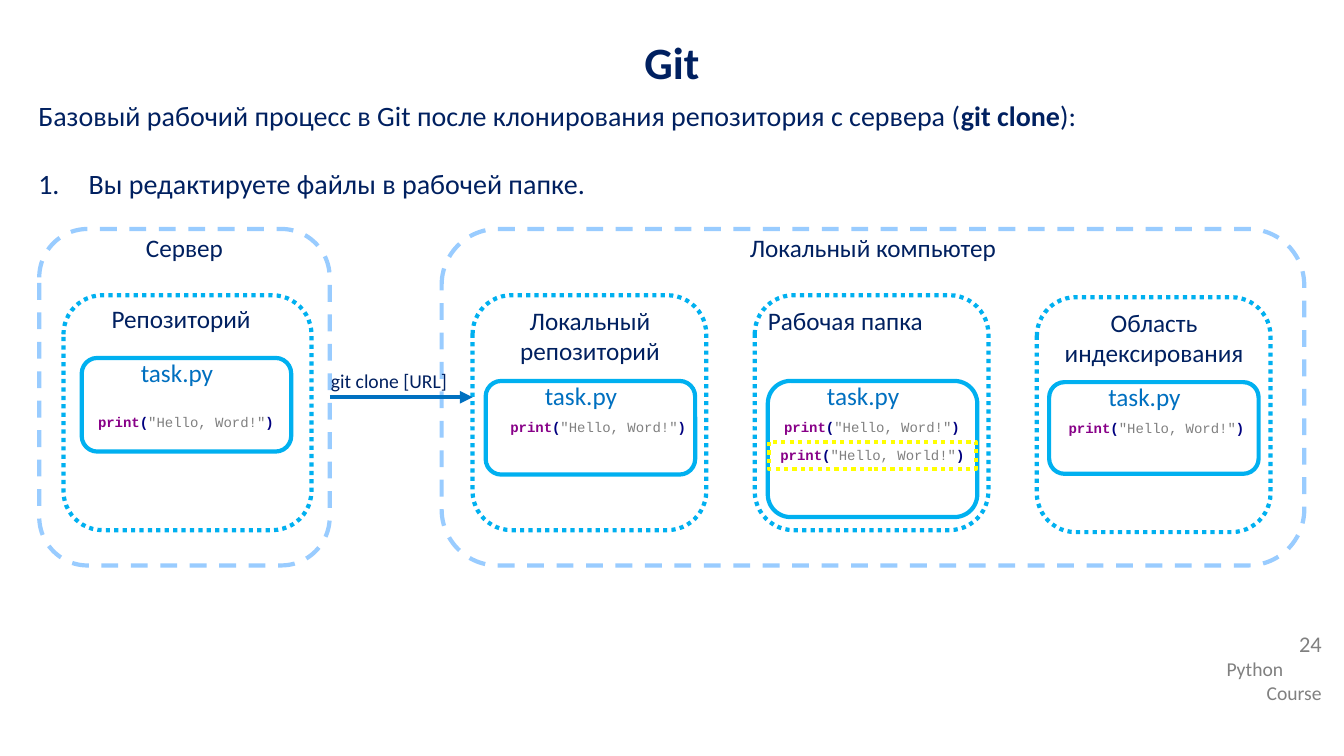
import pptx
import pptx.util
import pptx.dml.color
import pptx.enum.dml
import pptx.enum.shapes
import pptx.enum.text
import pptx.oxml

Cm, Pt = pptx.util.Cm, pptx.util.Pt
Align = pptx.enum.text.PP_ALIGN
Anchor = pptx.enum.text.MSO_ANCHOR
Dash = pptx.enum.dml.MSO_LINE
Kind = pptx.enum.shapes.MSO_SHAPE

# Content
TITLE = "Git"
INTRO = [("Базовый рабочий процесс в Git после клонирования репозитория с сервера (", False),
         ("git clone", True), ("):", False)]
STEP = "Вы редактируете файлы в рабочей папке."
FILE = "task.py"
CLONE = "git clone [URL]"
OLD, NEW = '"Hello, Word!"', '"Hello, World!"'
PAGE = "24"
COURSE = [("Python", Align.LEFT), ("Course", Align.RIGHT)]

HEX = {"navy": "002060", "blue": "0070C0", "cyan": "00B0F0", "sky": "99CCFF",
       "yellow": "FFFF00", "gray": "808080", "purple": "880088", "ink": "000080"}

# Geometry in cm: hosts are (name, left, width)
HOST_TOP, HOST_H = 5.77, 8.48
HOSTS = [("Сервер", 0.99, 7.32), ("Локальный компьютер", 11.13, 21.74)]
FIRST, PITCH, AREA_W, AREA_H = 11.91, 7.11, 5.89, 5.92
FILE_W, CODE_W, CODE_H = 5.28, 5.21, 0.69

# Areas: area box (left, top, width), label box, file box (inset, top, height), code (inset, drop)
AREAS = [
    dict(name="Репозиторий", area=(1.6, 7.44, 6.25), label=(1.3, 7.52, 6.53),
         file=(0.46, 9.02, 2.36), code=(0.02, 1.27), align=Align.CENTER),
    dict(name="Локальный репозиторий", area=(FIRST, 7.44, AREA_W), label=(11.96, 7.57, 5.82),
         file=(0.33, 9.6, 2.36), code=(0.23, 0.81), align=Align.CENTER),
    dict(name="Рабочая папка", area=(FIRST + PITCH, 7.44, AREA_W), label=(19.1, 7.57, 5.82),
         file=(0.33, 9.6, 3.43), code=(0.02, 0.81), align=Align.LEFT),
    dict(name="Область индексирования", area=(FIRST + 2 * PITCH, 7.49, AREA_W),
         label=(26.14, 7.62, AREA_W), file=(0.31, 9.63, 2.31), code=(0.1, 0.81),
         align=Align.CENTER),
]

deck = pptx.Presentation()
deck.slide_width, deck.slide_height = Cm(33.87), Cm(19.05)
slide = deck.slides.add_slide(deck.slide_layouts[1])
shapes = slide.shapes


def rgb(name):
    return pptx.dml.color.RGBColor.from_string(HEX[name])


def apply(item, form):
    for key, val in form.items():
        setattr(item, key, val)


def place(item, left, top, width, height):
    apply(item, dict(left=Cm(left), top=Cm(top), width=Cm(width), height=Cm(height)))


def write(para, text, size, color, bold=False, face="Calibri"):
    run = para.add_run()
    run.text = text
    apply(run.font, dict(size=Pt(size), bold=bold, name=face))
    run.font.color.rgb = rgb(color)


def label(text, box, size, color, align):
    item = shapes.add_textbox(*map(Cm, box))
    item.text_frame.word_wrap = True
    para = item.text_frame.paragraphs[0]
    para.alignment = align
    write(para, text, size, color)
    return item


def outline(kind, box, color, dash=Dash.SOLID):
    item = shapes.add_shape(kind, *map(Cm, box))
    item.shadow.inherit = False
    item.fill.background()
    item.line.color.rgb = rgb(color)
    apply(item.line, dict(width=Pt(3), dash_style=dash))
    return item


def code(item, text):
    frame = item.text_frame
    apply(frame, dict(word_wrap=True, margin_left=0, margin_right=0,
                      vertical_anchor=Anchor.MIDDLE))
    para = frame.paragraphs[0]
    para.alignment = Align.CENTER
    for part, color, bold in [("print", "purple", True), ("(", "ink", True),
                              (text, "gray", False), (")", "ink", True)]:
        write(para, part, 10, color, bold, "Courier New")


def element(parent, tag, **attrs):
    item = pptx.oxml.parse_xml(
        f'<a:{tag} xmlns:a="http://schemas.openxmlformats.org/drawingml/2006/main"/>')
    for key, val in attrs.items():
        item.set(key, val)
    parent.append(item)


# Title
title = shapes.title
place(title, 0, 0.58, 33.87, 1.93)
title.text_frame.vertical_anchor = Anchor.MIDDLE
para = title.text_frame.paragraphs[0]
para.alignment = Align.CENTER
write(para, TITLE, 32, "navy", True)

# Intro and numbered step
body = slide.placeholders[1]
place(body, 0.71, 2.51, 32.46, 2.69)
frame = body.text_frame
apply(frame, dict(auto_size=pptx.enum.text.MSO_AUTO_SIZE.NONE, vertical_anchor=Anchor.TOP))
intro, step = frame.paragraphs[0], frame.add_paragraph()
for para, indent, gap, pitch in [(intro, 0, 31.5, 0.8), (step, Cm(1.27), 6, 0.7)]:
    prop = para._p.get_or_add_pPr()
    prop.set("marL", str(indent))
    prop.set("indent", str(-indent))
    if indent:
        element(prop, "buFont", typeface="+mj-lt")
        element(prop, "buAutoNum", type="arabicPeriod")
    else:
        element(prop, "buNone")
    apply(para, dict(alignment=Align.JUSTIFY, line_spacing=pitch,
                     space_before=Pt(0), space_after=Pt(gap)))
for text, bold in INTRO:
    write(intro, text, 20, "navy", bold)
write(step, STEP, 20, "navy")

# Server and local computer
for name, left, width in HOSTS:
    outline(Kind.ROUNDED_RECTANGLE, (left, HOST_TOP, width, HOST_H), "sky", Dash.DASH)
    label(name, (left, 5.74, width, 1.02), 18, "navy", Align.CENTER)

# Areas, each with its file
for area in AREAS:
    left, top, width = area["area"]
    outline(Kind.ROUNDED_RECTANGLE, (left, top, width, AREA_H), "cyan", Dash.ROUND_DOT)
    label(area["name"], (*area["label"], 1.02), 18, "navy", area["align"])
    inset, top, height = area["file"]
    left += inset
    outline(Kind.ROUNDED_RECTANGLE, (left, top, FILE_W, height), "cyan")
    label(FILE, (left + 1.24, top - 0.14, 2.62, 1.02), 18, "blue", Align.LEFT)
    inset, drop = area["code"]
    code(shapes.add_textbox(Cm(left + inset), Cm(top + drop), Cm(CODE_W), Cm(CODE_H)), OLD)

# Edited line in the working folder
code(outline(Kind.RECTANGLE, (19.38, 11.13, CODE_W, CODE_H), "yellow", Dash.ROUND_DOT), NEW)

# Clone arrow
arrow = shapes.add_connector(pptx.enum.shapes.MSO_CONNECTOR.STRAIGHT,
                             Cm(8.31), Cm(10.01), Cm(FIRST), Cm(10.01))
arrow.line.color.rgb = rgb("blue")
arrow.line.width = Pt(3)
element(arrow.line._get_or_add_ln(), "tailEnd", type="triangle")
element(arrow._element.spPr, "effectLst")
label(CLONE, (7.72, 9.17, 4.17, 0.86), 14, "navy", Align.CENTER)

# Page number and course
label(PAGE, (30.66, 15.75, 2.9, 1.14), 16, "gray", Align.RIGHT)
(word, side), (last, edge) = COURSE
foot = label(word, (30.66, 16.43, 2.9, 1.45), 14, "gray", side).text_frame
para = foot.add_paragraph()
para.alignment = edge
write(para, last, 14, "gray")

deck.save("out.pptx")
